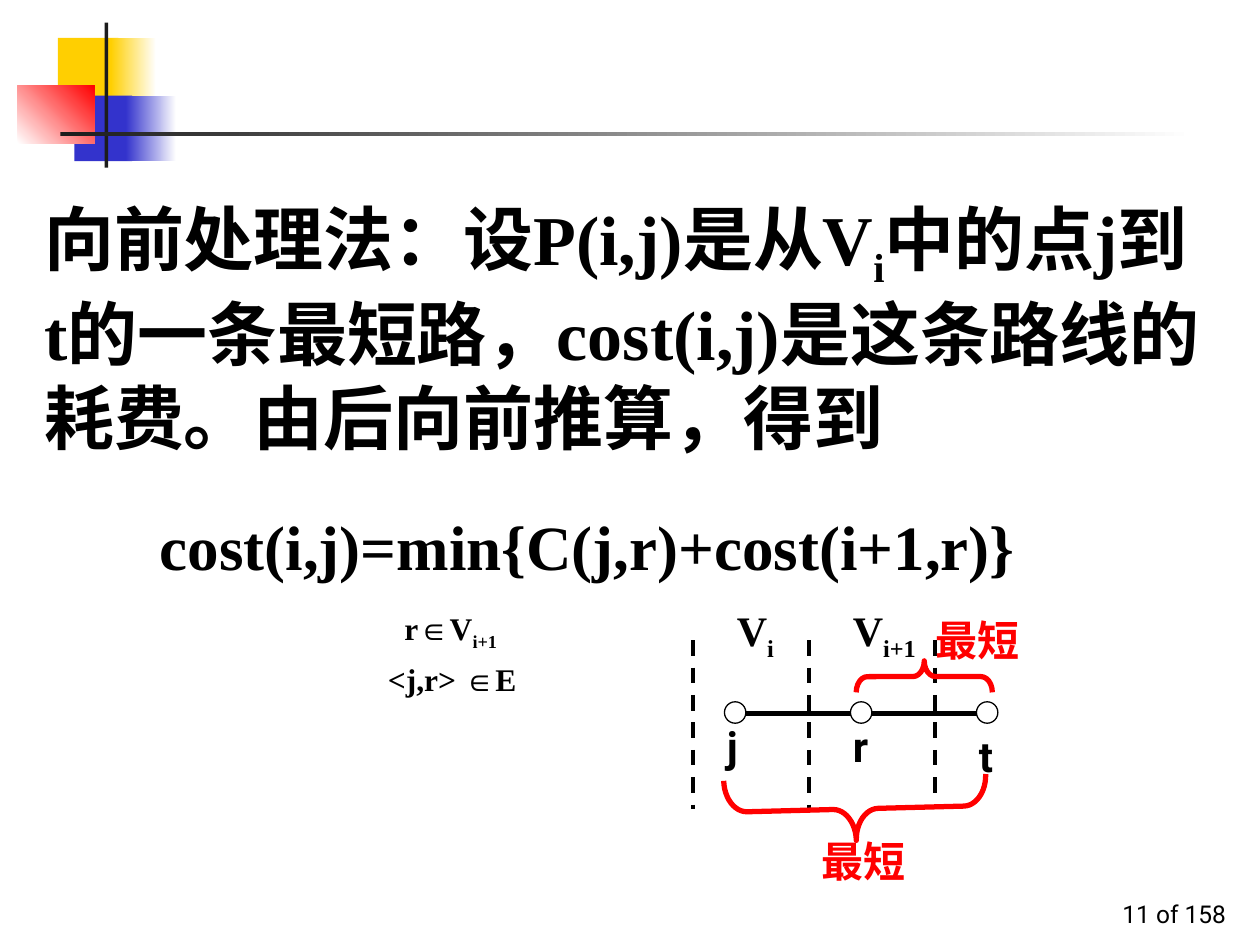
from lxml import etree
from pptx import Presentation
from pptx.dml.color import RGBColor
from pptx.enum.dml import MSO_LINE
from pptx.enum.shapes import MSO_CONNECTOR, MSO_SHAPE
from pptx.enum.text import MSO_ANCHOR, MSO_AUTO_SIZE, PP_ALIGN
from pptx.oxml.ns import qn
from pptx.util import Inches, Pt

RECTANGLE, OVAL, BRACE = MSO_SHAPE.RECTANGLE, MSO_SHAPE.OVAL, MSO_SHAPE.LEFT_BRACE
STRAIGHT, DASH = MSO_CONNECTOR.STRAIGHT, MSO_LINE.DASH
LEFT, RIGHT = PP_ALIGN.LEFT, PP_ALIGN.RIGHT
TOP, BOTTOM = MSO_ANCHOR.TOP, MSO_ANCHOR.BOTTOM
SANS, SERIF = "Roboto", "Times New Roman"
BLACK, RED, WHITE, DARK = "000000", "FF0000", "FFFFFF", "1C1C1C"
YELLOW, BLUE = "FFCF01", "3333CC"
NODE_SIZE, NODE_TOP, AXIS = 0.17, 5.57, 5.66


def color(value):
    """Turn a hex string into a colour."""
    return RGBColor.from_string(value)


def place(shape, left, top, width, height):
    """Set the position and size of a shape in inches."""
    shape.left, shape.top = Inches(left), Inches(top)
    shape.width, shape.height = Inches(width), Inches(height)


def add_panel(slide, box, start, end=None, angle=0):
    """Draw a borderless rectangle with a plain or graded fill."""
    shape = slide.shapes.add_shape(RECTANGLE, *map(Inches, box))
    shape.shadow.inherit = False
    shape.line.fill.background()
    if end is None:
        shape.fill.solid()
        shape.fill.fore_color.rgb = color(start)
        return
    shape.fill.gradient()
    shape.fill.gradient_angle = angle
    for stop, value, position in zip(shape.fill.gradient_stops, (start, end), (0, 1)):
        stop.color.rgb = color(value)
        stop.position = position


def add_outline(slide, kind, box, line=BLACK, weight=0.75, rotation=0):
    """Draw an unfilled preset shape."""
    shape = slide.shapes.add_shape(kind, *map(Inches, box))
    shape.shadow.inherit = False
    shape.fill.background()
    shape.line.color.rgb = color(line)
    shape.line.width = Pt(weight)
    shape.rotation = rotation
    return shape


def add_brace(slide, box, rotation):
    """Draw a red brace with wide curves."""
    brace = add_outline(slide, BRACE, box, RED, 3, rotation)
    brace.adjustments[0] = 0.36


def add_line(slide, start, end, weight, dash=None):
    """Draw a straight black line between two points."""
    line = slide.shapes.add_connector(STRAIGHT, *map(Inches, start + end))
    line.line.color.rgb = color(BLACK)
    line.line.width = Pt(weight)
    line.line.dash_style = dash
    etree.SubElement(line._element.spPr, qn("a:effectLst"))


def write(paragraph, text, size=24, font=SANS, fill=BLACK, bold=True,
          before=15, align=LEFT, indent=0):
    """Write a paragraph whose subscripts stand between tildes."""
    paragraph.alignment = align
    paragraph.space_before = Pt(before)
    properties = paragraph._p.get_or_add_pPr()
    properties.set("marL", str(Inches(indent)))
    properties.set("indent", "0")
    etree.SubElement(properties, qn("a:buNone"))
    for index, piece in enumerate(text.split("~")):
        if not piece:
            continue
        run = paragraph.add_run()
        run.text = piece
        run.font.size, run.font.name, run.font.bold = Pt(size), font, bold
        run.font.color.rgb = color(fill)
        if index % 2:
            run.font._element.set("baseline", "-25000")


def add_text(slide, box, text, anchor=TOP, **style):
    """Add a wrapping text box with one paragraph."""
    frame = slide.shapes.add_textbox(*map(Inches, box)).text_frame
    frame.word_wrap = True
    frame.vertical_anchor = anchor
    write(frame.paragraphs[0], text, **style)
    return frame


def add_decoration(slide):
    """Draw the coloured blocks and the crossing rules."""
    add_panel(slide, (0.46, 0.3, 0.48, 0.52), YELLOW)
    add_panel(slide, (0.88, 0.3, 0.36, 0.52), YELLOW, WHITE)
    add_panel(slide, (0.59, 0.76, 0.46, 0.52), BLUE)
    add_panel(slide, (1, 0.76, 0.4, 0.52), BLUE, WHITE)
    add_panel(slide, (0.14, 0.68, 0.61, 0.46), WHITE, RED, 45)
    add_panel(slide, (0.83, 0.18, 0.03, 1.15), DARK)
    add_panel(slide, (0.48, 1.05, 9, 0.03), DARK, WHITE)


def add_definition(slide):
    """Fill the body placeholder and drop the unused title."""
    title, body = slide.placeholders
    title._element.getparent().remove(title._element)
    place(body, 0.25, 1.5, 9.45, 2.19)
    body.text_frame.auto_size = MSO_AUTO_SIZE.NONE
    write(body.text_frame.paragraphs[0],
          "向前处理法：设P(i,j)是从V~i~中的点j到t的一条最短路，"
          "cost(i,j)是这条路线的耗费。由后向前推算，得到",
          size=40, font=SERIF, before=25)


def add_formula(slide):
    """Write the recurrence with its two conditions below."""
    frame = add_text(slide, (1.17, 3.98, 8.58, 1.66), "cost(i,j)=min{C(j,r)+cost(i+1,r)}",
                     size=36, font=SERIF, before=9)
    for text, indent, before in (("r∈V~i+1~", 1.94, 15), ("<j,r> ∈E", 1.81, 4.5)):
        write(frame.add_paragraph(), text, size=18, font=SERIF, before=before, indent=indent)


def add_path_diagram(slide):
    """Draw the stages, the nodes j, r and t, and the braces."""
    for x in (5.5, 6.42, 7.42):
        add_line(slide, (x, 5.08), (x, 6.42), 2.25, DASH)
    nodes = (("j", 5.75, 5.67), ("r", 6.75, 5.67), ("t", 7.75, 5.75))
    for (name, x, label_top), shift in zip(nodes, (-0.08, -0.08, -0.08)):
        add_outline(slide, OVAL, (x, NODE_TOP, NODE_SIZE, NODE_SIZE))
        add_text(slide, (x + shift, label_top, 0.58, 0.5), name)
    for (_, x, _), (_, following, _) in zip(nodes, nodes[1:]):
        add_line(slide, (x + NODE_SIZE, AXIS), (following, AXIS), 3)
    add_text(slide, (5.75, 4.75, 0.58, 0.56), "V~i~", font=SERIF)
    add_text(slide, (6.67, 4.75, 1.08, 0.56), "V~i+1~", font=SERIF)
    add_brace(slide, (7.21, 4.83, 0.25, 1.08), 90)
    add_brace(slide, (6.54, 5.38, 0.5, 2.08), 268.5)
    for left, top in ((7.33, 4.83), (6.42, 6.58)):
        add_text(slide, (left, top, 1.58, 0.5), "最短", fill=RED)


def main():
    """Build the slide and save it."""
    presentation = Presentation()
    presentation.slide_width, presentation.slide_height = Inches(10), Inches(7.5)
    slide = presentation.slides.add_slide(presentation.slide_layouts[1])
    add_decoration(slide)
    add_definition(slide)
    add_formula(slide)
    add_path_diagram(slide)
    add_text(slide, (7.75, 6.92, 2.08, 0.5), "11 of 158", anchor=BOTTOM,
             size=14, bold=False, before=0, align=RIGHT)
    presentation.save("out.pptx")


if __name__ == "__main__":
    main()
